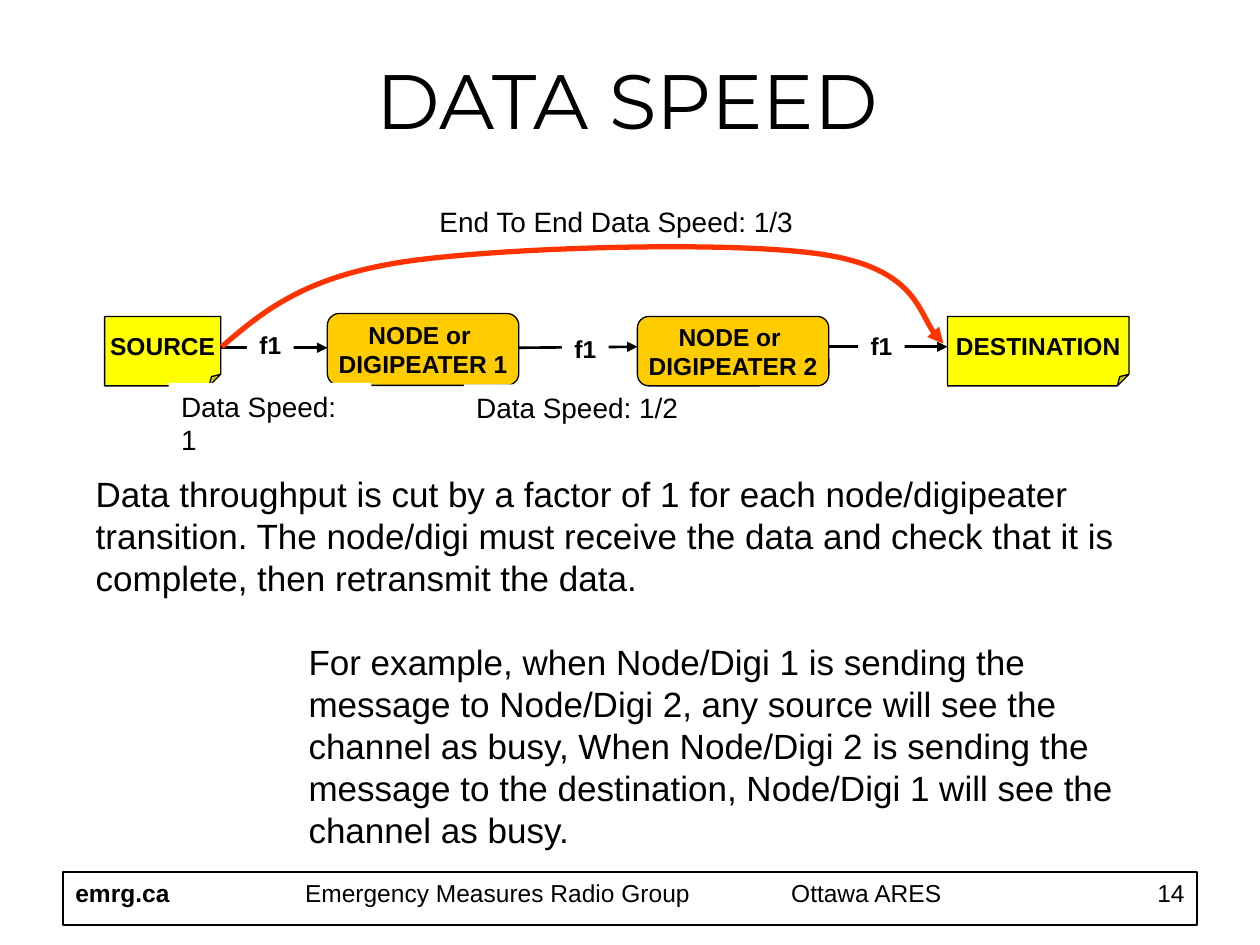
from dataclasses import dataclass

from lxml import etree
from pptx import Presentation
from pptx.dml.color import RGBColor
from pptx.enum.shapes import MSO_CONNECTOR, MSO_SHAPE
from pptx.enum.text import MSO_ANCHOR, MSO_AUTO_SIZE, PP_ALIGN
from pptx.oxml.ns import qn
from pptx.util import Cm, Pt

ROUNDED = MSO_SHAPE.ROUNDED_RECTANGLE
FOLDED = MSO_SHAPE.FOLDED_CORNER
RECT = MSO_SHAPE.RECTANGLE
STRAIGHT = MSO_CONNECTOR.STRAIGHT
MIDDLE = MSO_ANCHOR.MIDDLE
GROW = MSO_AUTO_SIZE.SHAPE_TO_FIT_TEXT
CENTER = PP_ALIGN.CENTER
RIGHT = PP_ALIGN.RIGHT


@dataclass(frozen=True)
class Theme:
    ink: RGBColor = RGBColor(0, 0, 0)
    paper: RGBColor = RGBColor(255, 255, 255)
    node: RGBColor = RGBColor(0xFF, 0xCC, 0x00)
    station: RGBColor = RGBColor(0xFF, 0xFF, 0x00)
    route: RGBColor = RGBColor(0xFF, 0x33, 0x00)
    heading_font: str = "Montserrat"
    text_font: str = "Arial"
    heading: Pt = Pt(44)
    body: Pt = Pt(20)
    caption: Pt = Pt(16)
    label: Pt = Pt(14)


THEME = Theme()


def apply(target, formats):
    for name, value in formats.items():
        setattr(target, name, value)


def write(sp, lines, size, bold=False, font=THEME.text_font, frame=None, para=None):
    tf = sp.text_frame
    apply(tf, {"word_wrap": True, **(frame or {})})
    for i, line in enumerate(lines):
        p = tf.paragraphs[0] if i == 0 else tf.add_paragraph()
        apply(p, para or {})
        r = p.add_run()
        r.text = line
        apply(r.font, {"name": font, "size": size, "bold": bold})
        r.font.color.rgb = THEME.ink


def add_text(s, box, lines, size, **kw):
    sp = s.shapes.add_textbox(*map(Cm, box))
    write(sp, lines, size, **kw)
    return sp


def add_label(s, box, text, size, bold=False):
    sp = add_text(s, box, [text], size, bold=bold,
                  frame={"word_wrap": False, "auto_size": GROW})
    sp.fill.solid()
    sp.fill.fore_color.rgb = THEME.paper


def add_box(s, kind, box, color=None, weight=0.75):
    sp = s.shapes.add_shape(kind, *map(Cm, box))
    sp.shadow.inherit = False
    if color is None:
        sp.fill.background()
    else:
        sp.fill.solid()
        sp.fill.fore_color.rgb = color
    sp.line.color.rgb = THEME.ink
    sp.line.width = Pt(weight)
    return sp


def add_stop(s, kind, box, color, lines):
    sp = add_box(s, kind, box, color)
    write(sp, lines, THEME.label, bold=True, para={"alignment": CENTER},
          frame={"word_wrap": False, "vertical_anchor": MIDDLE})


def style_arrow(sp, color, weight):
    sp.line.color.rgb = color
    sp.line.width = Pt(weight)
    ln = sp.line._get_or_add_ln()
    etree.SubElement(ln, qn("a:tailEnd"), type="triangle")


def add_hop(s, start, end):
    c = s.shapes.add_connector(STRAIGHT, *map(Cm, start + end))
    style_arrow(c, THEME.ink, 1.5)
    etree.SubElement(c._element.spPr, qn("a:effectLst"))


def add_route(s, points):
    start, *rest = [(Cm(x), Cm(y)) for x, y in points]
    builder = s.shapes.build_freeform(*start)
    builder.add_line_segments(rest, close=False)
    sp = builder.convert_to_shape()
    sp.shadow.inherit = False
    sp.fill.background()
    style_arrow(sp, THEME.route, 3)
    path = sp._element.find(".//" + qn("a:path"))
    steps = path.findall(qn("a:lnTo"))
    for i in range(0, len(steps), 3):
        curve = etree.SubElement(path, qn("a:cubicBezTo"))
        for step in steps[i:i + 3]:
            curve.append(step[0])
            path.remove(step)


def add_body(s):
    sp = add_text(s, (1.68, 9.4, 22.05, 7.04), [
        "Data throughput is cut by a factor of 1 for each node/digipeater transition. "
        "The node/digi must receive the data and check that it is complete, "
        "then retransmit the data.",
        "For example, when Node/Digi 1 is sending the message to Node/Digi 2, any source "
        "will see the channel as busy, When Node/Digi 2 is sending the message to the "
        "destination, Node/Digi 1 will see the channel as busy.",
    ], THEME.body, para={"line_spacing": Pt(24)})
    example = sp.text_frame.paragraphs[1]
    example.space_before = Pt(24)
    pPr = example._p.get_or_add_pPr()
    pPr.set("marL", str(Cm(4.29)))
    pPr.set("indent", "0")


def add_footer(s):
    top = 17.58
    add_box(s, RECT, (1.27, top, 22.86, 1.07), weight=1)
    add_text(s, (1.27, top, 2.57, 0.86), ["emrg.ca"], THEME.label, bold=True)
    sp = add_text(s, (4.19, top, 16.76, 1.09),
                  ["Emergency Measures Radio Group\tOttawa ARES"], THEME.label,
                  frame={"margin_left": Cm(1.96)})
    pPr = sp.text_frame.paragraphs[0]._p.get_or_add_pPr()
    tabs = etree.SubElement(pPr, qn("a:tabLst"))
    etree.SubElement(tabs, qn("a:tab"), pos=str(Cm(9.8)), algn="l")
    add_text(s, (21.11, top, 3.02, 1.09), ["14"], THEME.label, para={"alignment": RIGHT})


def add_diagram(s):
    add_stop(s, ROUNDED, (6.6, 6.32, 3.86, 1.45), THEME.node, ["NODE or ", "DIGIPEATER 1"])
    add_stop(s, FOLDED, (2.11, 6.38, 2.34, 1.4), THEME.station, ["SOURCE"])
    for start, end in [((4.45, 7.01), (6.6, 7.01)),
                       ((10.46, 7.01), (12.85, 6.99)),
                       ((16.69, 6.99), (19.1, 6.99))]:
        add_hop(s, start, end)
    for left, top in [(4.98, 6.53), (11.33, 6.6), (17.3, 6.55)]:
        add_label(s, (left, top, 0.94, 0.86), "f1", THEME.label, bold=True)
    for box, text in [((3.4, 7.72, 4.09, 0.94), "Data Speed: 1"),
                      ((9.35, 7.75, 4.72, 0.94), "Data Speed: 1/2"),
                      ((8.61, 3.99, 7.85, 0.94), "End To End Data Speed: 1/3")]:
        add_label(s, box, text, THEME.caption)
    add_stop(s, ROUNDED, (12.85, 6.38, 3.86, 1.4), THEME.node, ["NODE or ", "DIGIPEATER 2"])
    add_stop(s, FOLDED, (19.1, 6.38, 3.66, 1.4), THEME.station, ["DESTINATION"])
    add_route(s, [(4.47, 6.99), (5.28, 6.3), (6.1, 5.59), (8.13, 5.28), (10.13, 4.98),
                  (14.78, 4.85), (16.59, 5.13), (18.42, 5.41), (18.62, 6.63), (19.02, 6.93)])


def main():
    prs = Presentation()
    apply(prs, {"slide_width": Cm(25.4), "slide_height": Cm(19.05)})
    s = prs.slides.add_slide(prs.slide_layouts[6])
    add_text(s, (1.22, 0.41, 22.86, 3.18), ["DATA SPEED"], THEME.heading,
             font=THEME.heading_font, frame={"vertical_anchor": MIDDLE},
             para={"alignment": CENTER})
    add_body(s)
    add_diagram(s)
    add_footer(s)
    prs.save("out.pptx")


if __name__ == "__main__":
    main()
